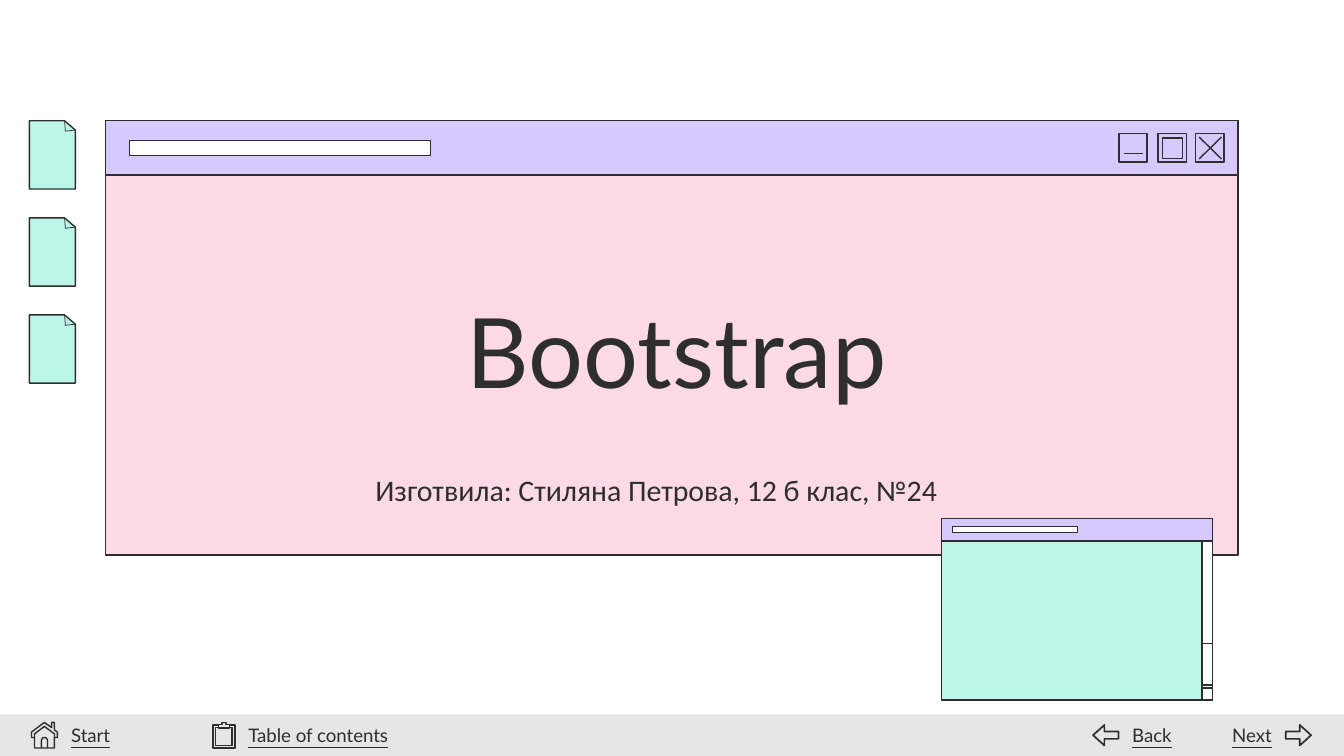
from lxml.etree import SubElement
from pptx import Presentation
from pptx.dml.color import RGBColor
from pptx.enum.shapes import MSO_CONNECTOR as Connector, MSO_SHAPE as Shape
from pptx.enum.text import MSO_ANCHOR as Anchor, PP_ALIGN as Align
from pptx.oxml.ns import qn
from pptx.util import Pt

INK, PINK, LILAC, MINT = "2E2E2E", "FEDAE6", "D6C9FF", "BBF6E9"
WHITE, GREY = "FFFFFF", "E6E6E6"


def rgb(code):
    return RGBColor.from_string(code)


class Desktop:
    """Draws ink-outlined window parts, icons and labels on one slide."""

    ink = INK
    stroke = 0.75
    margin = 7.2

    def __init__(self, slide):
        self.shapes = slide.shapes

    def paint(self, shape, fill, stroke):
        shape.shadow.inherit = False
        if fill:
            shape.fill.solid()
            shape.fill.fore_color.rgb = rgb(fill)
        else:
            shape.fill.background()
        if stroke:
            shape.line.color.rgb = rgb(self.ink)
            shape.line.width = Pt(stroke)
        else:
            shape.line.fill.background()
        return shape

    def box(self, x, y, width, height, fill=None, stroke=stroke, kind=Shape.RECTANGLE):
        shape = self.shapes.add_shape(kind, Pt(x), Pt(y), Pt(width), Pt(height))
        return self.paint(shape, fill, stroke)

    def outline(self, points, fill=None, stroke=stroke, close=True):
        start, *rest = [(x * 100, y * 100) for x, y in points]
        builder = self.shapes.build_freeform(*start, scale=Pt(0.01))
        builder.add_line_segments(rest, close=close)
        return self.paint(builder.convert_to_shape(), fill, stroke)

    def line(self, x1, y1, x2, y2):
        link = self.shapes.add_connector(
            Connector.STRAIGHT, Pt(x1), Pt(y1), Pt(x2), Pt(y2))
        link.line.color.rgb = rgb(self.ink)
        link.line.width = Pt(self.stroke)
        SubElement(link.element.spPr, qn("a:effectLst"))

    def arrow(self, x, y, kind):
        arrow = self.box(x, y, 13.6, 11, stroke=0.9, kind=kind)
        arrow.adjustments[0] = 0.36
        arrow.adjustments[1] = 0.55

    def label(self, text, x, y, width, height, align=Align.LEFT, **font):
        frame = self.shapes.add_textbox(Pt(x), Pt(y), Pt(width), Pt(height)).text_frame
        layout = {"word_wrap": True, "vertical_anchor": Anchor.TOP}
        layout.update({f"margin_{side}": Pt(self.margin)
                       for side in ("left", "top", "right", "bottom")})
        for name, value in layout.items():
            setattr(frame, name, value)
        paragraph = frame.paragraphs[0]
        paragraph.alignment = align
        run = paragraph.add_run()
        run.text = text
        for name, value in font.items():
            setattr(run.font, name, value)
        run.font.color.rgb = rgb(self.ink)

    def file(self, x, y):
        right, fold = x + 24.6, y + 5
        self.outline([(x, y), (x, y + 36.6), (right, y + 36.6),
                      (right, fold), (x + 18.8, y)], MINT)
        self.outline([(x + 18.8, y), (x + 19.2, y + 5.6), (right, fold)],
                     stroke=0.4, close=False)

    def main_window(self):
        self.box(56.6, 64.7, 606.6, 232.6, PINK)
        self.box(56.6, 64.7, 606.6, 29.1, LILAC)
        self.box(69.3, 75.2, 161.2, 8.2, WHITE)
        for x in (599.4, 620.4, 640.6):
            self.box(x, 71.6, 15.2, 15.2)
        self.line(601.9, 82.3, 612.1, 82.3)
        self.box(622.8, 74, 10.8, 10.8)
        self.line(642.4, 73.4, 654.4, 85.2)
        self.line(654.4, 73.4, 642.4, 85.2)

    def small_window(self):
        self.box(504.5, 277.7, 145, 97.3, MINT)
        self.box(644, 277.7, 5.5, 97.3, WHITE)
        self.box(504.5, 277.7, 145, 12.2, LILAC, 0.56)
        for y in (346.4, 344.8):
            self.box(644, y, 5.5, 22.2, WHITE)
        self.box(510.2, 282.1, 67.2, 3.1, WHITE)

    def house(self):
        self.outline([
            (23.8, 387), (16.9, 392.2), (16.9, 395.1), (18.5, 395.1),
            (18.5, 400.7), (29.2, 400.7), (29.2, 395.1), (30.8, 395.1),
            (30.8, 392.2), (29.2, 391), (29.2, 387), (27.7, 387), (27.7, 389.8)])
        self.outline([(18.5, 395.1), (18.5, 393.2), (23.8, 389.2),
                      (29.2, 393.2), (29.2, 395.1)], close=False)
        self.outline([(22.2, 400.7), (22.2, 396.5), (23, 395.2),
                      (24.7, 395.2), (25.5, 396.5), (25.5, 400.7)], close=False)

    def clipboard(self):
        self.box(114.1, 388.4, 11.8, 12.3)
        self.box(115.6, 389.8, 8.7, 9.5)
        self.outline([(117.2, 390), (117.2, 388), (119, 388), (119, 387),
                      (121, 387), (121, 388), (122.8, 388), (122.8, 390)], GREY)


def main():
    deck = Presentation()
    deck.slide_width, deck.slide_height = Pt(720), Pt(405)
    desktop = Desktop(deck.slides.add_slide(deck.slide_layouts[6]))

    desktop.main_window()
    for row in range(3):
        desktop.file(15.8, 64.7 + 52 * row)
    desktop.box(0, 382.7, 720, 22.3, GREY, stroke=None)
    desktop.label("Изготвила: Стиляна Петрова, 12 б клас, №24", 149, 245.5, 405.4, 36.7,
                  Align.CENTER, size=Pt(16), name="Calibri")
    desktop.label("Bootstrap", 59, 149, 607, 73.4,
                  Align.CENTER, size=Pt(52), name="Lato")
    desktop.small_window()

    desktop.house()
    desktop.clipboard()
    desktop.arrow(585.6, 388.4, Shape.LEFT_ARROW)
    desktop.arrow(688.8, 388.4, Shape.RIGHT_ARROW)
    navigation = [
        ("Start", 31, 56.2, Align.LEFT),
        ("Table of contents", 126, 110.9, Align.LEFT),
        ("Back", 599.5, 38.9, Align.LEFT),
        ("Next", 649.5, 38.9, Align.RIGHT),
    ]
    for text, x, width, align in navigation:
        desktop.label(text, x, 381.6, width, 25.2, align,
                      size=Pt(10), name="Lato", underline=True)
    deck.save("out.pptx")


if __name__ == "__main__":
    main()
